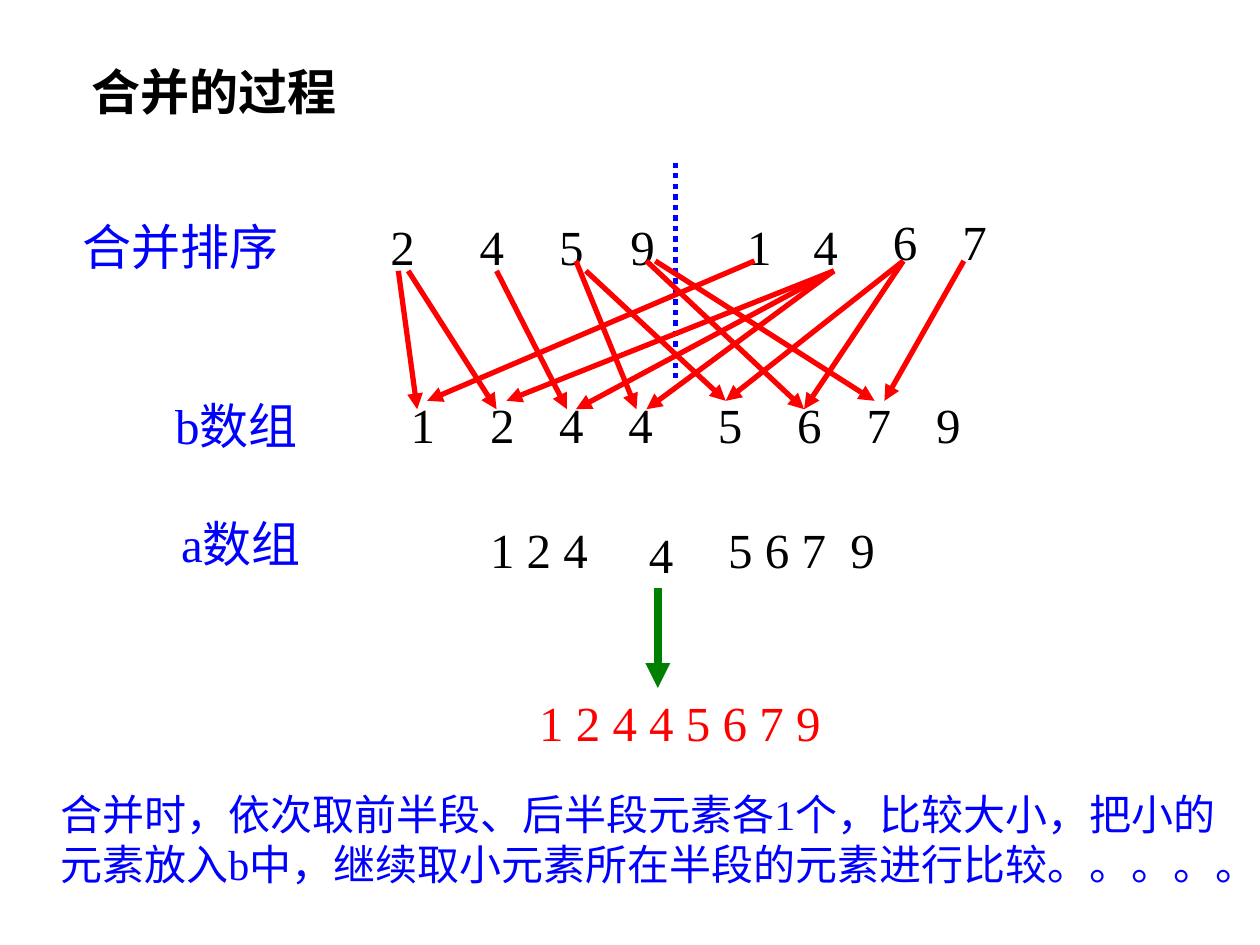
from lxml import etree
from pptx import Presentation
from pptx.dml.color import RGBColor
from pptx.enum import dml, shapes, text
from pptx.oxml import ns
from pptx.util import Cm, Pt

FONT = "Times New Roman"
BLACK, BLUE, RED, GREEN = "000000", "0000FF", "FF0000", "008000"

# Content: lengths in centimetres
TITLE = "合并的过程"
NOTE = ("合并时，依次取前半段、后半段元素各1个，比较大小，"
        "把小的元素放入b中，继续取小元素所在半段的元素进行比较。。。。。")

# Side labels: text, left, top, width
LABELS = [
    ("合并排序", 1.42, 4.47, 5.26),
    ("b数组", 3.28, 8.08, 3.99),
    ("a数组", 3.4, 10.46, 4.01),
]

# Single digits: top, then (digit, left)
ROWS = [
    (4.47, [("2", 7.62), ("4", 9.42), ("5", 11.02), ("9", 12.46),
            ("1", 14.81), ("4", 16.15)]),
    (4.37, [("6", 17.75), ("7", 19.15)]),
    (8.05, [("1", 8.03), ("2", 9.63), ("4", 11.02), ("4", 12.42),
            ("5", 14.22), ("6", 15.82), ("7", 17.22), ("9", 18.62)]),
    (10.67, [("4", 12.83)]),
]

# Digit groups: text, left, top, width, colour
GROUPS = [
    ("1 2 4", 9.63, 10.57, 2.49, BLACK),
    ("5 6 7  9", 14.43, 10.57, 3.48, BLACK),
    ("1 2 4 4 5 6 7 9", 10.62, 14.07, 6.25, RED),
]

# Comparison arrows: from x, from y, to x, to y
START, START_LOW = 5.26, 5.46
END, END_LOW = 8.08, 8.25
MOVES = [
    (8.03, START_LOW, 8.41, END_LOW),
    (15.21, START, 8.61, END),
    (8.23, START_LOW, 10.01, END_LOW),
    (16.81, START_LOW, 10.21, END),
    (10.01, START_LOW, 11.43, END_LOW),
    (16.81, START_LOW, 11.61, END_LOW),
    (11.61, START, 12.83, END_LOW),
    (16.81, START_LOW, 13.03, END_LOW),
    (11.81, START_LOW, 14.63, END),
    (18.21, START, 14.63, END),
    (13.03, START, 16.21, END_LOW),
    (18.21, START, 16.21, END_LOW),
    (13.21, START, 17.63, END),
    (19.43, START, 17.83, END),
]
SPLIT = (13.61, 3.28, 13.61, 7.67)
RESULT = (13.26, 11.86, 13.26, 13.87)


def rgb(code):
    return RGBColor.from_string(code)


def style(box, words, color, size=28, bold=False, wrap=True, gap=0.8):
    frame = box.text_frame
    frame.text = words
    frame.word_wrap = wrap
    frame.auto_size = text.MSO_AUTO_SIZE.SHAPE_TO_FIT_TEXT
    frame.vertical_anchor = text.MSO_ANCHOR.TOP
    para = frame.paragraphs[0]
    para.alignment = text.PP_ALIGN.LEFT
    para.line_spacing = gap
    font = para.font
    font.name, font.size, font.bold = FONT, Pt(size), bold
    font.color.rgb = rgb(color)


def label(slide, words, left, top, width, color, height=1.2, **look):
    box = slide.shapes.add_textbox(Cm(left), Cm(top), Cm(width), Cm(height))
    style(box, words, color, **look)


def line(slide, ends, color, width, arrow=True):
    link = slide.shapes.add_connector(
        shapes.MSO_CONNECTOR.STRAIGHT, *(Cm(v) for v in ends))
    link.line.color.rgb = rgb(color)
    link.line.width = Pt(width)
    if arrow:
        tail = etree.SubElement(link.line._get_or_add_ln(), ns.qn("a:tailEnd"))
        tail.set("type", "triangle")
    etree.SubElement(link._element.spPr, ns.qn("a:effectLst"))
    return link


def main():
    deck = Presentation()
    deck.slide_width, deck.slide_height = Cm(25.4), Cm(19.05)
    slide = deck.slides.add_slide(deck.slide_layouts[5])

    # Title
    title = slide.shapes.title
    title.left, title.top = Cm(1.6), Cm(1.35)
    title.width, title.height = Cm(6.65), Cm(1.22)
    style(title, TITLE, BLACK, bold=True)

    # Labels and numbers
    for words, left, top, width in LABELS:
        label(slide, words, left, top, width, BLUE)
    for top, row in ROWS:
        for digit, left in row:
            label(slide, digit, left, top, 1.02, BLACK, wrap=False)
    for words, left, top, width, color in GROUPS:
        label(slide, words, left, top, width, color, wrap=False)

    # Divider between the halves, comparisons and result
    split = line(slide, SPLIT, BLUE, 3, arrow=False)
    split.line.dash_style = dml.MSO_LINE.ROUND_DOT
    for ends in MOVES:
        line(slide, ends, RED, 3)
    line(slide, RESULT, GREEN, 4.75)

    # Explanation
    label(slide, NOTE, 0.97, 15.77, 24.1, BLUE, height=2.31, size=24, gap=1.0)

    deck.save("out.pptx")


if __name__ == "__main__":
    main()
